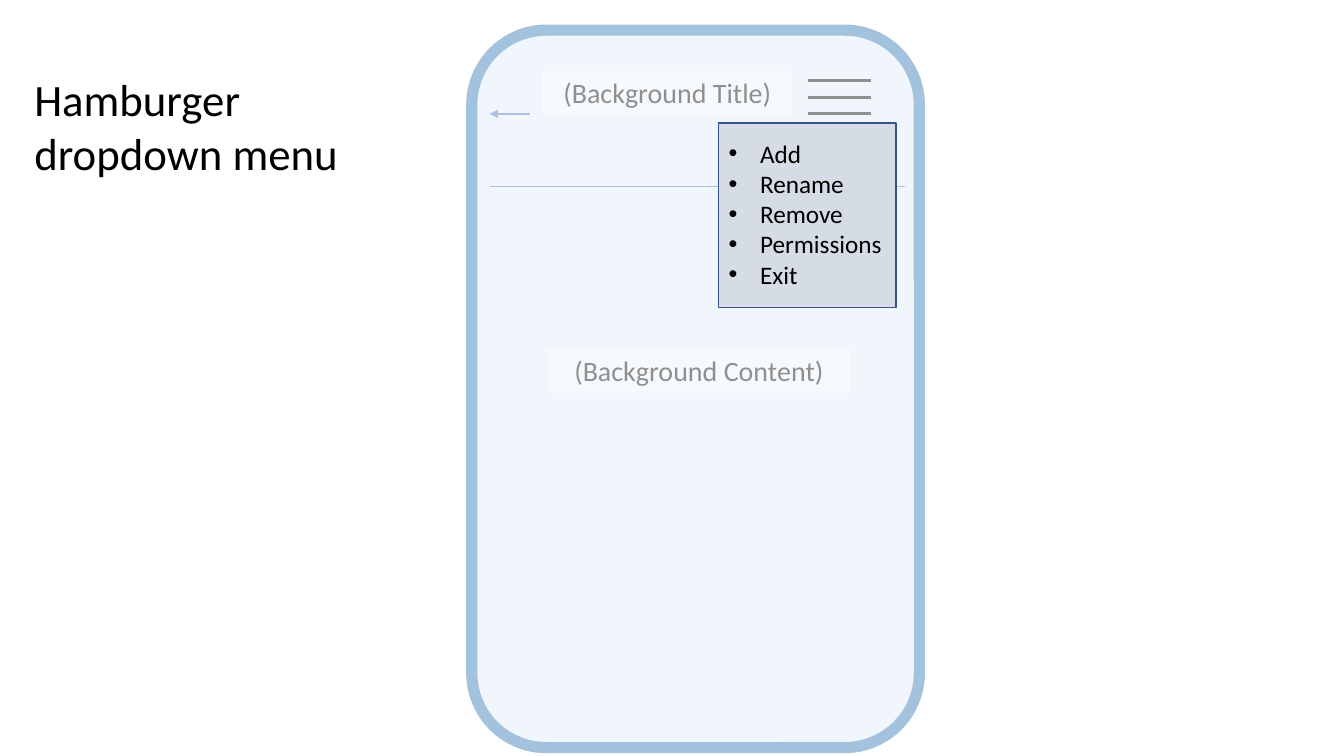
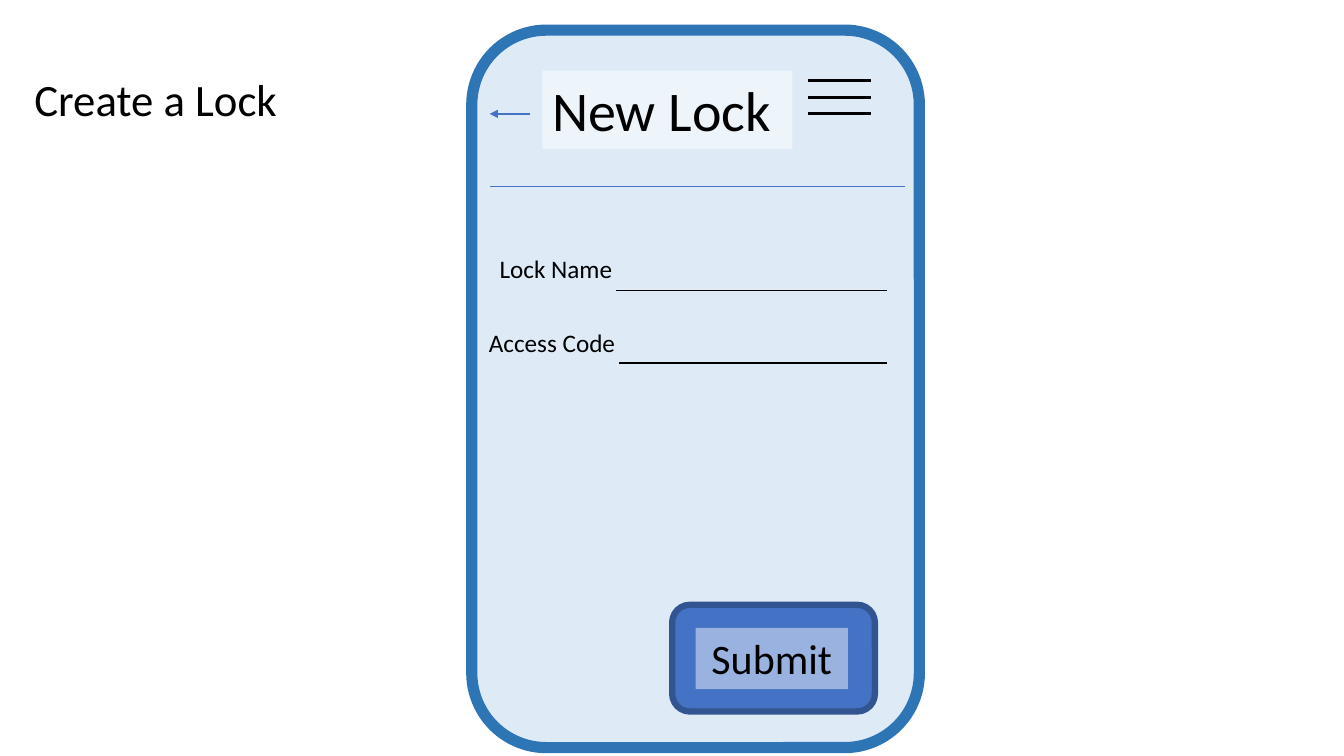
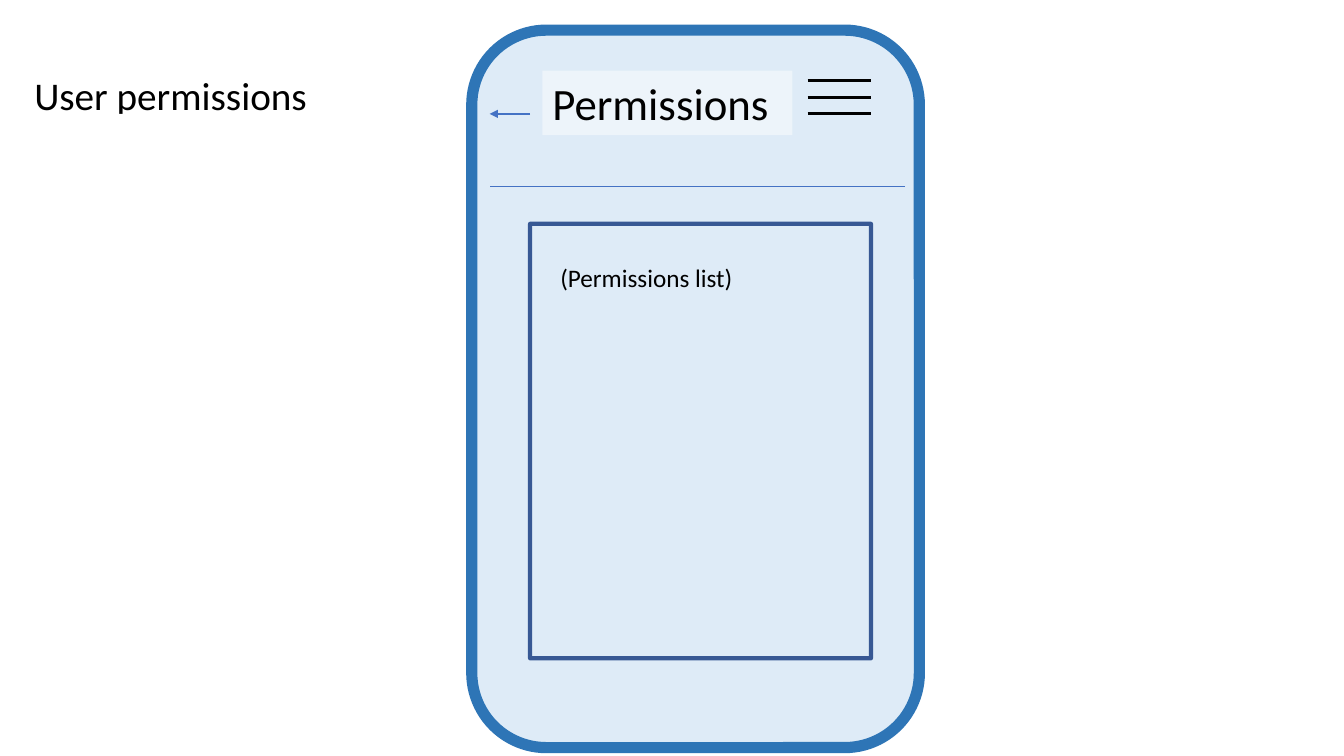
"""Wireframe slides of a phone app: menu, new lock and permissions."""
from dataclasses import dataclass
from typing import Optional

import lxml.etree
import pptx
import pptx.dml.color
import pptx.enum.shapes
import pptx.enum.text
import pptx.oxml.ns
import pptx.util

Cm = pptx.util.Cm
Pt = pptx.util.Pt
RGB = pptx.dml.color.RGBColor
Kind = pptx.enum.shapes.MSO_SHAPE
Align = pptx.enum.text.PP_ALIGN
qn = pptx.oxml.ns.qn

WHITE = RGB(0xFF, 0xFF, 0xFF)
BLACK = RGB(0x00, 0x00, 0x00)
PALE = RGB(0xDE, 0xEB, 0xF7)
FRAME = RGB(0x2E, 0x75, 0xB6)
BLUE = RGB(0x44, 0x72, 0xC4)
NAVY = RGB(0x32, 0x54, 0x91)
GREY = RGB(0xD6, 0xDC, 0xE5)
FONT = "Calibri"
TINT = 46


@dataclass(frozen=True)
class Box:
    """Place and size in centimetres."""
    left: float
    top: float
    width: float
    height: float


@dataclass(frozen=True)
class Label:
    """A piece of text with its place and look."""
    text: str
    box: Box
    size: int
    align: pptx.enum.text.PP_ALIGN = Align.LEFT


@dataclass(frozen=True)
class Field:
    """An input line with its label."""
    label: Label
    start: float
    level: float


@dataclass(frozen=True)
class Page:
    """The heading beside the phone and the title on its screen."""
    layout: int
    head: Label
    bar: Label


PAGES = (
    Page(1, Label("Hamburger dropdown menu", Box(0.61, 1.68, 8.51, 3), 32),
         Label("(Background Title)", Box(13.67, 1.78, 6.3, 1.12), 20, Align.CENTER)),
    Page(5, Label("Create a Lock", Box(0.61, 1.68, 7.42, 1.63), 32),
         Label("New Lock", Box(13.67, 1.78, 6.3, 1.98), 40)),
    Page(5, Label("User permissions", Box(0.61, 1.68, 7.42, 1.45), 28),
         Label("Permissions", Box(13.67, 1.78, 6.3, 1.63), 32)),
)
FIELDS = (
    Field(Label("Lock Name", Box(12.34, 6.25, 3.66, 1.02), 18), 15.52, 7.32),
    Field(Label("Access Code", Box(12.07, 8.13, 4.19, 1.02), 18), 15.6, 9.14),
)
ITEMS = ("Add", "Rename", "Remove", "Permissions", "Exit")


def place(shape, box: Box) -> None:
    """Move and size a shape."""
    shape.left, shape.top = Cm(box.left), Cm(box.top)
    shape.width, shape.height = Cm(box.width), Cm(box.height)


def fade(shape, part: str, alpha: int) -> None:
    """Set the opacity, in percent, of a fill or line colour."""
    for color in shape.element.xpath(f"./p:spPr/{part}/a:srgbClr"):
        lxml.etree.SubElement(color, qn("a:alpha"), val=str(alpha * 1000))


def block(slide, kind: Kind, box: Box, fill: Optional[RGB] = None,
          line: Optional[RGB] = None, weight: float = 1, alpha: int = 100):
    """Draw a preset shape, with no fill or line unless given."""
    shape = slide.shapes.add_shape(kind, 0, 0, 0, 0)
    place(shape, box)
    shape.shadow.inherit = False
    if fill is None:
        shape.fill.background()
    else:
        shape.fill.solid()
        shape.fill.fore_color.rgb = fill
    if line is None:
        shape.line.fill.background()
    else:
        shape.line.color.rgb = line
        shape.line.width = Pt(weight)
    if alpha < 100:
        fade(shape, "a:solidFill", alpha)
    return shape


def stroke(slide, start: float, end: float, level: float, color: RGB,
           weight: float = 1.25, arrow: bool = False) -> None:
    """Draw a level line, with an arrowhead at its end if asked."""
    line = slide.shapes.add_connector(
        pptx.enum.shapes.MSO_CONNECTOR.STRAIGHT,
        Cm(start), Cm(level), Cm(end), Cm(level))
    line.line.color.rgb = color
    line.line.width = Pt(weight)
    props = line.element.spPr
    if arrow:
        lxml.etree.SubElement(props.find(qn("a:ln")), qn("a:tailEnd"), type="triangle")
    lxml.etree.SubElement(props, qn("a:effectLst"))


def write(shape, label: Label) -> None:
    """Place a shape and set its text, one paragraph a line."""
    place(shape, label.box)
    frame = shape.text_frame
    frame.text = label.text
    frame.word_wrap = True
    frame.vertical_anchor = pptx.enum.text.MSO_ANCHOR.TOP
    frame.auto_size = pptx.enum.text.MSO_AUTO_SIZE.SHAPE_TO_FIT_TEXT
    for para in frame.paragraphs:
        para.alignment = label.align
        para.line_spacing = 1.0
        para.space_before = para.space_after = Pt(0)
        for run in para.runs:
            run.font.name = FONT
            run.font.size = Pt(label.size)
            run.font.color.rgb = BLACK


def note(slide, label: Label) -> None:
    """Add a plain text box."""
    write(slide.shapes.add_textbox(0, 0, 0, 0), label)


def strip(slide, label: Label) -> None:
    """Add text on a see-through white strip."""
    write(block(slide, Kind.RECTANGLE, label.box, WHITE, alpha=TINT), label)


def phone(deck, page: Page):
    """Add a slide with its heading and the phone frame."""
    slide = deck.slides.add_slide(deck.slide_layouts[page.layout])
    write(slide.shapes.title, page.head)
    block(slide, Kind.ROUNDED_RECTANGLE, Box(11.89, 0.76, 11.28, 18.08), PALE, FRAME, 8)
    stroke(slide, 22.81, 12.34, 4.7, BLUE)
    for row in range(3):
        stroke(slide, 20.35, 21.95, 2.03 + row * 0.42, BLACK, 2)
    stroke(slide, 13.36, 12.34, 2.87, BLUE, arrow=True)
    strip(slide, page.bar)
    return slide


def menu(slide) -> None:
    """Dim the phone and open the bulleted menu over it."""
    strip(slide, Label("(Background Content)", Box(13.79, 8.79, 7.65, 1.12), 20, Align.CENTER))
    block(slide, Kind.RECTANGLE, Box(11.53, 0.48, 11.99, 18.57), WHITE, alpha=56)
    block(slide, Kind.RECTANGLE, Box(18.11, 3.1, 4.47, 4.65), GREY, NAVY)
    body = slide.placeholders[1]
    write(body, Label("\n".join(ITEMS), Box(18.11, 3.35, 4.47, 4.11), 18))
    for para in body.text_frame.paragraphs:
        props = para._p.get_or_add_pPr()
        props.set("marL", str(Cm(0.79)))
        props.set("indent", str(-Cm(0.79)))
        lxml.etree.SubElement(props, qn("a:buFont"), typeface="Arial")
        lxml.etree.SubElement(props, qn("a:buChar"), char="•")
    body.element.getparent().append(body.element)


def form(slide) -> None:
    """Draw the input fields and the button."""
    for field in FIELDS:
        note(slide, field.label)
        stroke(slide, 22.35, field.start, field.level, BLACK)
    block(slide, Kind.ROUNDED_RECTANGLE, Box(16.94, 15.24, 5.11, 2.69), BLUE, NAVY, 4.5)
    strip(slide, Label("Submit", Box(17.53, 15.82, 3.84, 1.55), 30, Align.CENTER))


def rights(slide) -> None:
    """Draw the framed list and the blank panel under the heading."""
    panel = block(slide, Kind.RECTANGLE, Box(13.36, 5.64, 8.59, 10.95), line=NAVY, weight=3)
    fade(panel, "a:ln/a:solidFill", 97)
    note(slide, Label("(Permissions list)", Box(13.87, 6.48, 7.52, 1.02), 18))
    block(slide, Kind.RECTANGLE, Box(0.61, 2.87, 9.25, 7.92), WHITE)


def main() -> None:
    """Build and save the deck."""
    deck = pptx.Presentation()
    deck.slide_width, deck.slide_height = Cm(33.87), Cm(19.05)
    for page, fill in zip(PAGES, (menu, form, rights)):
        fill(phone(deck, page))
    deck.save("out.pptx")


main()
